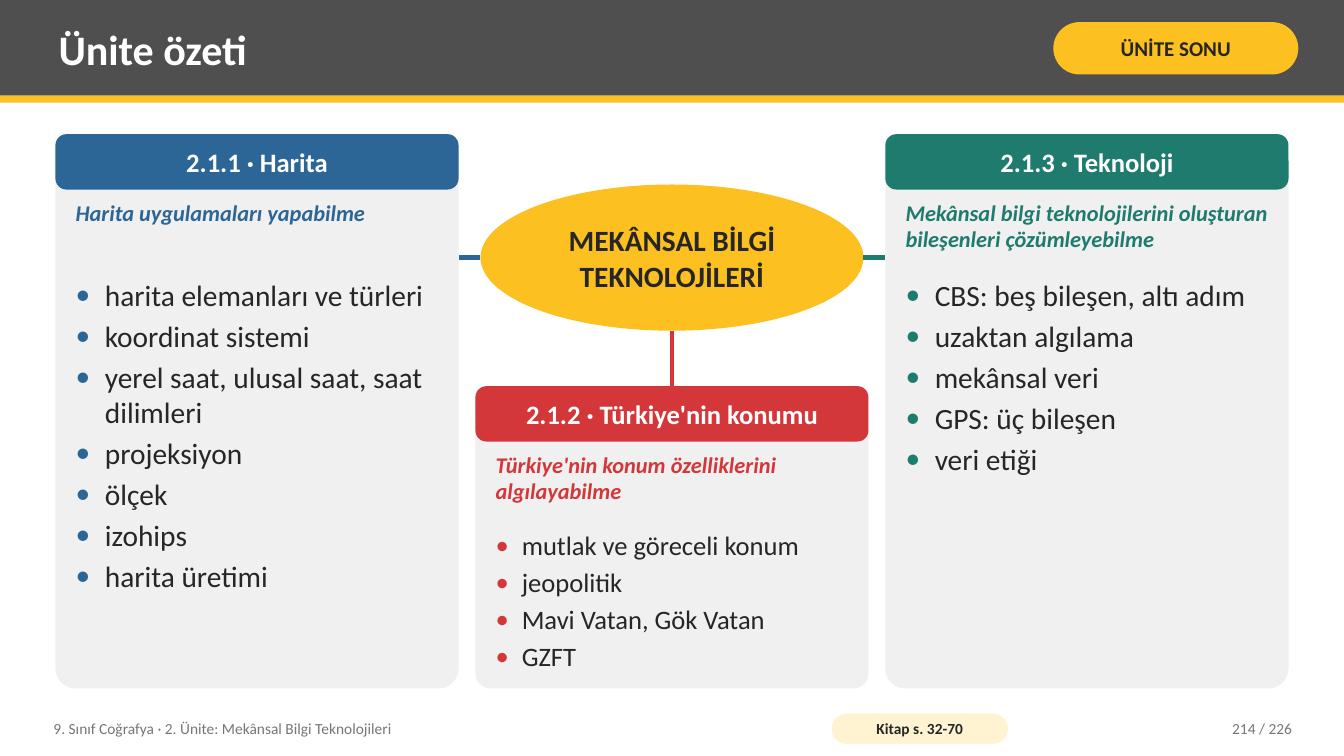
"""Build the unit summary slide: a central topic linked to three cards."""
from lxml import etree
from pptx import Presentation
from pptx.dml.color import RGBColor
from pptx.enum import shapes, text
from pptx.oxml import ns
from pptx.util import Pt

WIDTH, HEIGHT = 960, 540
FONT = "Calibri"
YELLOW, DARK, GREY, WHITE = "FCC021", "262626", "767676", "FFFFFF"
BLUE, GREEN, RED = "2C6696", "1E7B6E", "D3373A"
SHAPE = shapes.MSO_SHAPE
ALIGN = text.PP_ALIGN
MIDDLE = text.MSO_ANCHOR.MIDDLE

TITLE = "Ünite özeti"
BADGE = "ÜNİTE SONU"
TOPIC = "MEKÂNSAL BİLGİ TEKNOLOJİLERİ"
FOOTER = "9. Sınıf Coğrafya · 2. Ünite: Mekânsal Bilgi Teknolojileri"
BOOK_PAGES = "Kitap s. 32-70"
PAGE_NUMBER = "214 / 226"

CARD_BOTTOM, CARD_TOP, SIDE_WIDTH, MARGIN = 491.8, 95.8, 288, 39.6
CARDS = [
    dict(heading="2.1.1 · Harita", goal="Harita uygulamaları yapabilme",
         color=BLUE, left=MARGIN, top=CARD_TOP, width=SIDE_WIDTH, size=21,
         indent=20.9, gap=4,
         items=["harita elemanları ve türleri", "koordinat sistemi",
                "yerel saat, ulusal saat, saat dilimleri", "projeksiyon",
                "ölçek", "izohips", "harita üretimi"]),
    dict(heading="2.1.3 · Teknoloji",
         goal="Mekânsal bilgi teknolojilerini oluşturan bileşenleri çözümleyebilme",
         color=GREEN, left=WIDTH - MARGIN - SIDE_WIDTH, top=CARD_TOP,
         width=SIDE_WIDTH, size=21, indent=20.9, gap=4,
         items=["CBS: beş bileşen, altı adım", "uzaktan algılama",
                "mekânsal veri", "GPS: üç bileşen", "veri etiği"]),
    dict(heading="2.1.2 · Türkiye'nin konumu",
         goal="Türkiye'nin konum özelliklerini algılayabilme",
         color=RED, left=339.6, top=275.8, width=280.8, size=19,
         indent=18.7, gap=3.6,
         items=["mutlak ve göreceli konum", "jeopolitik",
                "Mavi Vatan, Gök Vatan", "GZFT"]),
]
HEADER_HEIGHT, PADDING = 39.6, 8.6
TOPIC_WIDTH, TOPIC_HEIGHT, TOPIC_TOP = 273.6, 104.4, 131.8


def rgb(color):
    return RGBColor.from_string(color)


def style(para, size, color, bold=False, italic=False):
    font = para.font
    font.name, font.size, font.bold, font.italic = FONT, Pt(size), bold, italic
    font.color.rgb = rgb(color)


def write(box, lines, size, color, bold=False, italic=False,
          align=ALIGN.LEFT, anchor=MIDDLE, inset=(5.8, 2.9)):
    frame = box.text_frame
    frame.word_wrap = True
    frame.auto_size = text.MSO_AUTO_SIZE.NONE
    frame.vertical_anchor = anchor
    frame.margin_left = frame.margin_right = Pt(inset[0])
    frame.margin_top = frame.margin_bottom = Pt(inset[1])
    frame.text = "\n".join(lines)
    for para in frame.paragraphs:
        para.alignment = align
        style(para, size, color, bold, italic)
    return frame


def add_shape(page, kind, left, top, width, height, fill, corner=None):
    shape = page.shapes.add_shape(kind, Pt(left), Pt(top), Pt(width), Pt(height))
    shape.shadow.inherit = False
    shape.fill.solid()
    shape.fill.fore_color.rgb = rgb(fill)
    shape.line.fill.background()
    if corner is not None:
        shape.adjustments[0] = corner
    return shape


def add_text(page, left, top, width, height, lines, size, color, **options):
    box = page.shapes.add_textbox(Pt(left), Pt(top), Pt(width), Pt(height))
    return write(box, lines, size, color, **options)


def add_bullet(para, color, indent):
    props = para._p.get_or_add_pPr()
    props.set("marL", str(Pt(indent)))
    props.set("indent", str(-Pt(indent)))
    tint = etree.Element(ns.qn("a:buClr"))
    etree.SubElement(tint, ns.qn("a:srgbClr")).set("val", color)
    face = etree.Element(ns.qn("a:buFont"))
    face.set("typeface", FONT)
    mark = etree.Element(ns.qn("a:buChar"))
    mark.set("char", "•")
    for place, part in enumerate((tint, face, mark)):
        props.insert(place, part)


def add_card(page, card):
    left, top, width, color = (card[key] for key in ("left", "top", "width", "color"))
    height = CARD_BOTTOM - top
    add_shape(page, SHAPE.ROUNDED_RECTANGLE, left, top, width, height, "F0F0F0", 0.05)
    header = add_shape(page, SHAPE.ROUNDED_RECTANGLE, left, top, width,
                       HEADER_HEIGHT, color, 0.2)
    write(header, [card["heading"]], 19, WHITE, bold=True, align=ALIGN.CENTER,
          inset=(10, 5.8))
    inner_left, inner_width = left + PADDING, width - 2 * PADDING
    add_text(page, inner_left, top + 43.2, inner_width, 54, [card["goal"]], 16,
             color, bold=True, italic=True, anchor=text.MSO_ANCHOR.TOP)
    frame = add_text(page, inner_left, top + 99.4, inner_width, height - 104.4,
                     card["items"], card["size"], DARK, anchor=text.MSO_ANCHOR.TOP)
    for para in frame.paragraphs:
        add_bullet(para, color, card["indent"])
        para.space_after = Pt(card["gap"])
    return header


def add_link(page, start, end, color):
    link = page.shapes.add_connector(shapes.MSO_CONNECTOR.STRAIGHT,
                                     *(Pt(value) for value in start + end))
    link.line.color.rgb = rgb(color)
    link.line.width = Pt(3)
    etree.SubElement(link.element.spPr, ns.qn("a:effectLst"))
    return link


def main():
    deck = Presentation()
    deck.slide_width, deck.slide_height = Pt(WIDTH), Pt(HEIGHT)
    page = deck.slides.add_slide(deck.slide_layouts[5])

    title = page.shapes.title
    title.left, title.top, title.width, title.height = Pt(36), Pt(5), Pt(702), Pt(59)
    write(title, [TITLE], 30, WHITE, bold=True)
    for top, height, fill in ((0, 68.4, "4F4F4F"), (68.4, 5, YELLOW)):
        band = add_shape(page, SHAPE.RECTANGLE, 0, top, WIDTH, height, fill)
        title.element.addprevious(band.element)

    badge = add_shape(page, SHAPE.ROUNDED_RECTANGLE, 752.4, 15.8, 175, 37.4, YELLOW, 0.5)
    write(badge, [BADGE], 15, DARK, bold=True, align=ALIGN.CENTER, inset=(3.6, 1.4))

    topic_left = (WIDTH - TOPIC_WIDTH) / 2
    topic = add_shape(page, SHAPE.OVAL, topic_left, TOPIC_TOP, TOPIC_WIDTH,
                      TOPIC_HEIGHT, YELLOW)
    write(topic, [TOPIC], 21, DARK, bold=True, align=ALIGN.CENTER, inset=(7.2, 5.8))

    headers = [add_card(page, card) for card in CARDS]
    middle = TOPIC_TOP + TOPIC_HEIGHT / 2
    side = MARGIN + SIDE_WIDTH
    add_link(page, (topic_left, middle), (side, middle), BLUE)
    add_link(page, (WIDTH - topic_left, middle), (WIDTH - side, middle), GREEN)
    down = add_link(page, (WIDTH / 2, TOPIC_TOP + TOPIC_HEIGHT),
                    (WIDTH / 2, CARDS[2]["top"]), RED)
    down.end_connect(headers[2], 0)

    add_text(page, 32.4, 507, 547, 26, [FOOTER], 11, GREY)
    book = add_shape(page, SHAPE.ROUNDED_RECTANGLE, 594, 509.8, 126, 21.6, "FFF3D1", 0.5)
    write(book, [BOOK_PAGES], 11, DARK, bold=True, align=ALIGN.CENTER, inset=(2.9, 0))
    add_text(page, 813.6, 507, 115.2, 26, [PAGE_NUMBER], 11, GREY, align=ALIGN.RIGHT)

    deck.save("out.pptx")


if __name__ == "__main__":
    main()
